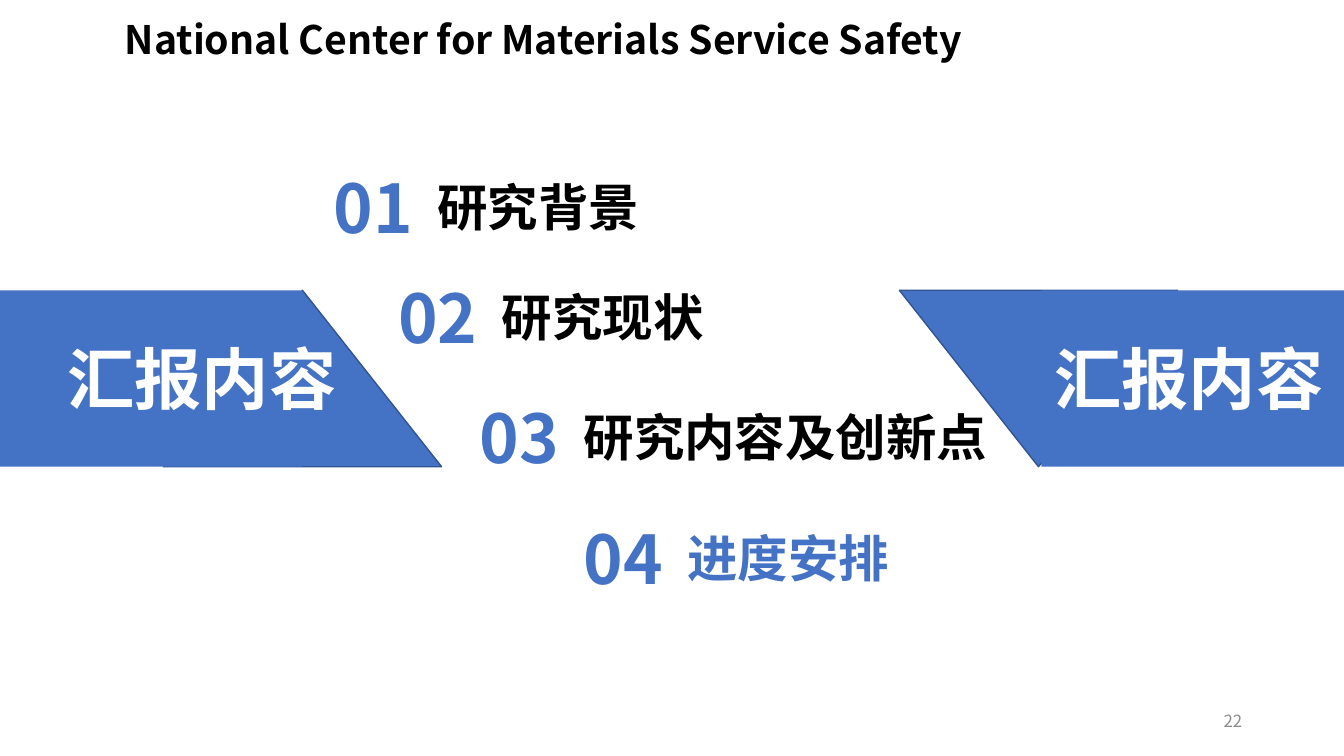
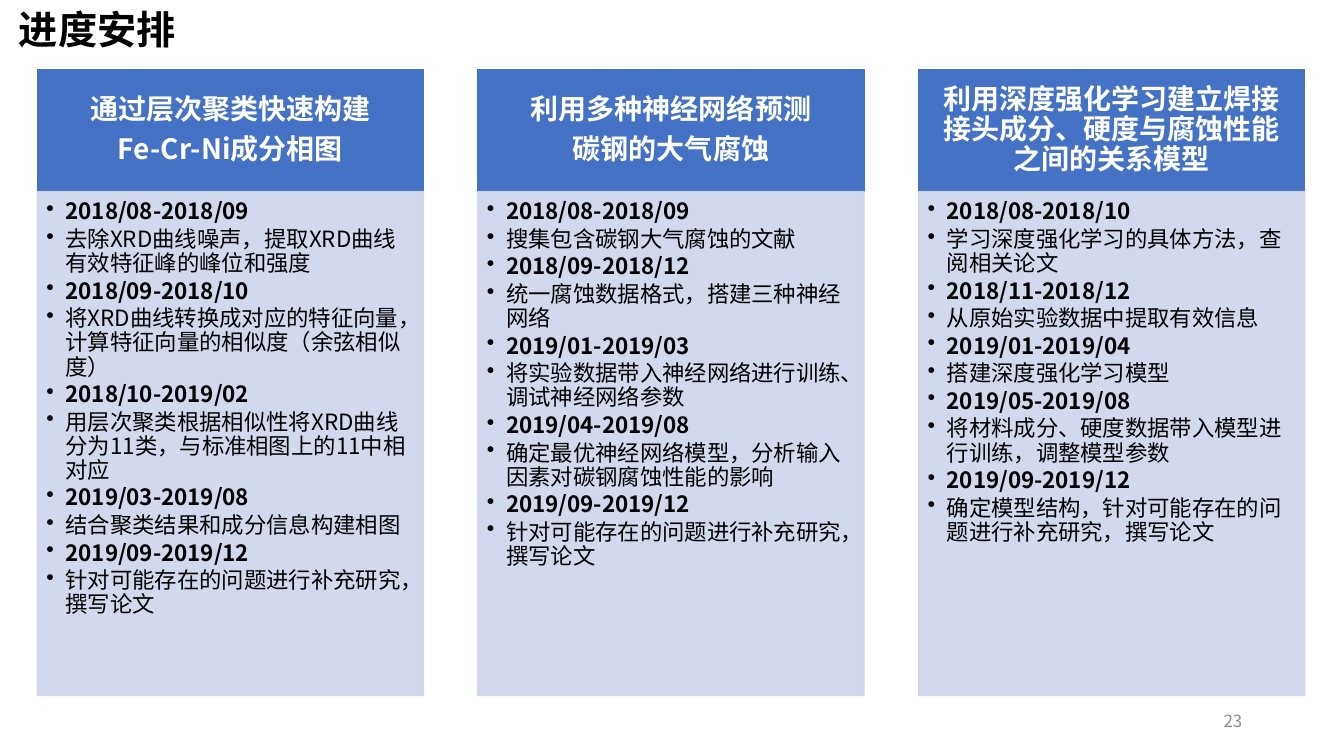
import pptx
import pptx.util
import pptx.dml.color
import pptx.enum.shapes
import pptx.enum.text
import pptx.oxml.ns
import lxml.etree

Inches, Pt = pptx.util.Inches, pptx.util.Pt
SHAPE = pptx.enum.shapes.MSO_SHAPE
ALIGN = pptx.enum.text.PP_ALIGN
ANCHOR = pptx.enum.text.MSO_ANCHOR
qn = pptx.oxml.ns.qn

FONT = "Noto Sans CJK SC"
COLORS = {"blue": "4472C4", "edge": "325491", "pale": "CFD5EA",
          "black": "000000", "white": "FFFFFF", "grey": "8C8C8C"}

AGENDA = [  # left, top, heading, colour
    (3.21, 1.6, "研究背景", "black"),
    (3.85, 2.69, "研究现状", "black"),
    (4.66, 3.88, "研究内容及创新点", "black"),
    (5.69, 5.08, "进度安排", "blue"),
]

FINISH = ("2019/09-2019/12", "针对可能存在的问题进行补充研究，撰写论文")
PLANS = [  # header lines, then (period, task) pairs
    (["通过层次聚类快速构建", "Fe-Cr-Ni成分相图"], [
        ("2018/08-2018/09", "去除XRD曲线噪声，提取XRD曲线有效特征峰的峰位和强度"),
        ("2018/09-2018/10", "将XRD曲线转换成对应的特征向量，计算特征向量的相似度（余弦相似度）"),
        ("2018/10-2019/02", "用层次聚类根据相似性将XRD曲线分为11类，与标准相图上的11中相对应"),
        ("2019/03-2019/08", "结合聚类结果和成分信息构建相图"),
        FINISH]),
    (["利用多种神经网络预测", "碳钢的大气腐蚀"], [
        ("2018/08-2018/09", "搜集包含碳钢大气腐蚀的文献"),
        ("2018/09-2018/12", "统一腐蚀数据格式，搭建三种神经网络"),
        ("2019/01-2019/03", "将实验数据带入神经网络进行训练、调试神经网络参数"),
        ("2019/04-2019/08", "确定最优神经网络模型，分析输入因素对碳钢腐蚀性能的影响"),
        FINISH]),
    (["利用深度强化学习建立焊接接头成分、硬度与腐蚀性能之间的关系模型"], [
        ("2018/08-2018/10", "学习深度强化学习的具体方法，查阅相关论文"),
        ("2018/11-2018/12", "从原始实验数据中提取有效信息"),
        ("2019/01-2019/04", "搭建深度强化学习模型"),
        ("2019/05-2019/08", "将材料成分、硬度数据带入模型进行训练，调整模型参数"),
        ("2019/09-2019/12", "确定模型结构，针对可能存在的问题进行补充研究，撰写论文")]),
]


def rgb(name):
    return pptx.dml.color.RGBColor.from_string(COLORS[name])


def add_run(p, text, size, color, bold=True):
    r = p.add_run()
    r.text = text
    r.font.size = Pt(size)
    r.font.bold = bold
    r.font.color.rgb = rgb(color)
    r.font.name = FONT
    ea = lxml.etree.SubElement(r.font._element, qn("a:ea"))
    ea.set("typeface", FONT)


def add_text(s, x, y, w, h, text, size, color, bold=True):
    tb = s.shapes.add_textbox(Inches(x), Inches(y), Inches(w), Inches(h))
    tf = tb.text_frame
    tf.word_wrap = False
    add_run(tf.paragraphs[0], text, size, color, bold)
    return tf


def add_block(s, x, y, w, h, fill, line=None, kind=SHAPE.RECTANGLE):
    sp = s.shapes.add_shape(kind, Inches(x), Inches(y), Inches(w), Inches(h))
    sp.shadow.inherit = False
    sp.fill.solid()
    sp.fill.fore_color.rgb = rgb(fill)
    if line:
        sp.line.color.rgb = rgb(line)
        sp.line.width = Pt(1)
    else:
        sp.line.fill.background()
    return sp


def set_frame(sp, anchor, insets):
    tf = sp.text_frame
    tf.word_wrap = True
    tf.vertical_anchor = anchor
    tf.margin_left, tf.margin_top, tf.margin_right, tf.margin_bottom = map(Inches, insets)
    return tf


def next_paragraph(tf, align, space_after):
    p = tf.paragraphs[0]
    if p.runs:
        p = tf.add_paragraph()
    p.alignment = align
    p.line_spacing = 0.9
    p.space_after = Pt(space_after)
    return p


def add_base(prs, number, title, x, y, w):
    """New slide with its title and page number."""
    s = prs.slides.add_slide(prs.slide_layouts[6])
    add_text(s, x, y, w, 0.57, title, 28, "black")
    tf = add_text(s, 9.42, 6.95, 3, 0.4, str(number), 12, "grey", False)
    tf.word_wrap = True
    tf.vertical_anchor = ANCHOR.MIDDLE
    tf.paragraphs[0].alignment = ALIGN.RIGHT
    return s


def add_banner(s, x, y, w, label_dx, flipped=False):
    """Band against a slide edge, with a slanted inner end."""
    h, slant_w, bar_w = 1.75, 2.76, 3
    slant_x, bar_x = (x, x + w - bar_w) if flipped else (x + w - slant_w, x)
    slant = add_block(s, slant_x, y, slant_w, h, "blue", "edge", SHAPE.TRAPEZOID)
    slant.adjustments[0] = 0.79
    slant.rotation = 180 if flipped else 0
    add_block(s, bar_x, y, bar_w, h, "blue")
    add_text(s, x + label_dx, y + 0.42, 2.89, 0.91, "汇报内容", 48, "white")


def add_agenda_item(s, x, y, number, heading, color):
    add_text(s, x, y, 1.03, 0.91, f"{number:02d}", 48, "blue")
    w = 0.2 + 0.505 * len(heading)
    add_text(s, x + 1.03, y + 0.1, w, 0.71, heading, 36, color)


def add_plan(s, x, y, w, header, tasks):
    """One column: header block above a dated task list."""
    head_h, body_h = 1.21, 5
    head = add_block(s, x, y, w, head_h, "blue", "blue")
    tf = set_frame(head, ANCHOR.MIDDLE, (0.16, 0.09, 0.16, 0.09))
    for text in header:
        add_run(next_paragraph(tf, ALIGN.CENTER, 7), text, 20, "white")

    body = add_block(s, x, y + head_h, w, body_h, "pale", "pale")
    for clr in body._element.spPr.iter(qn("a:srgbClr")):
        lxml.etree.SubElement(clr, qn("a:alpha")).set("val", "90000")
    tf = set_frame(body, ANCHOR.TOP, (0.09, 0.09, 0.12, 0.14))
    for period, task in tasks:
        for text, bold in ((period, True), (task, False)):
            p = next_paragraph(tf, ALIGN.LEFT, 2.4)
            pPr = p._element.get_or_add_pPr()
            pPr.set("marL", str(Inches(0.19)))
            pPr.set("indent", str(-Inches(0.19)))
            lxml.etree.SubElement(pPr, qn("a:buChar")).set("char", "•")
            add_run(p, text, 16, "black", bold)


def build_agenda(prs):
    s = add_base(prs, 22, "National Center for Materials Service Safety", 1.14, 0.1, 8.87)
    add_banner(s, 0, 2.88, 4.38, 0.57)
    add_banner(s, 8.92, 2.88, 4.41, 1.44, flipped=True)
    for number, (x, y, heading, color) in enumerate(AGENDA, 1):
        add_agenda_item(s, x, y, number, heading, color)


def build_schedule(prs):
    s = add_base(prs, 23, "进度安排", 0.09, 0, 1.77)
    for i, (header, tasks) in enumerate(PLANS):
        add_plan(s, 0.37 + i * 4.37, 0.69, 3.83, header, tasks)


def main():
    prs = pptx.Presentation()
    prs.slide_width, prs.slide_height = Inches(13.33), Inches(7.5)
    build_agenda(prs)
    build_schedule(prs)
    prs.save("out.pptx")


if __name__ == "__main__":
    main()
